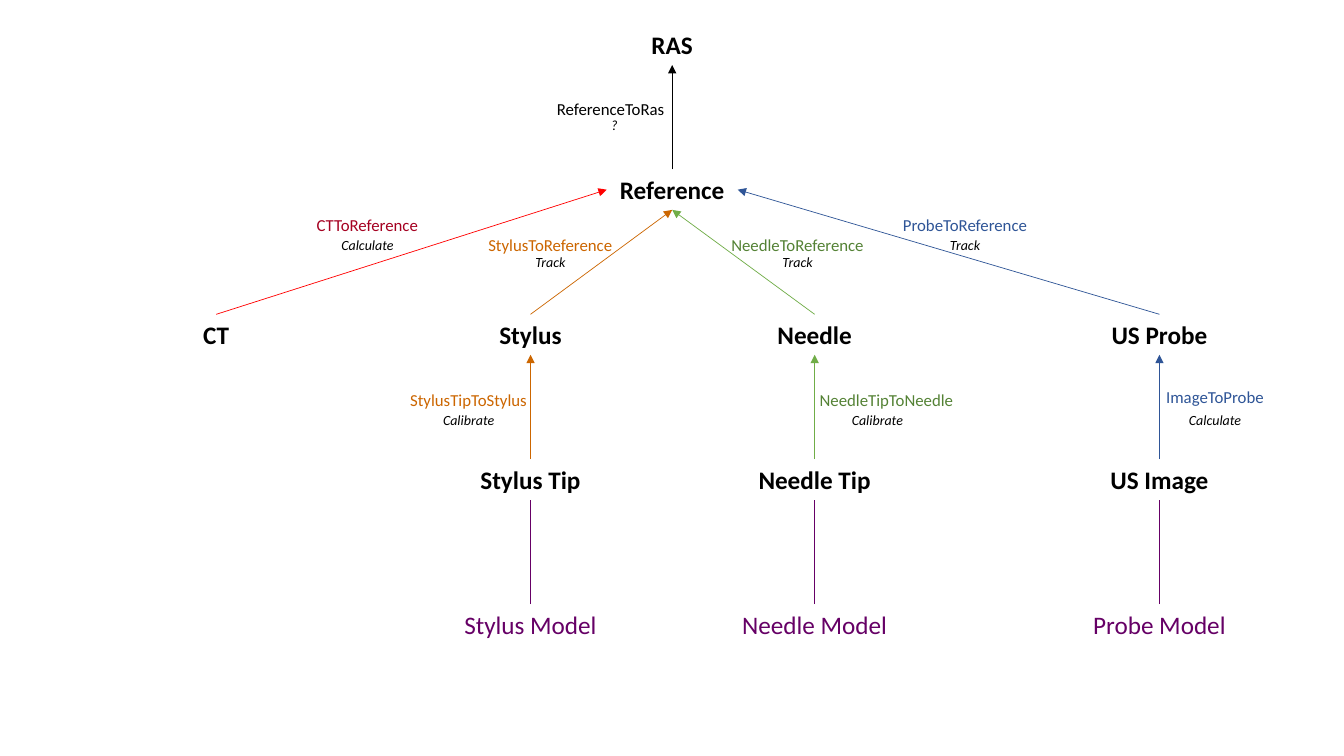
from lxml import etree
from pptx import Presentation
from pptx import util as u
from pptx.dml import color
from pptx.enum import shapes, text
from pptx.oxml import ns

BLACK, PURPLE = "000000", "660066"
RED, DARK_RED = "FF0000", "A50021"
ORANGE, BLUE = "CC6600", "2F5597"
GREEN, DARK_GREEN = "70AD47", "548235"

FIRST_ROW, ROW_STEP, NODE_HEIGHT = 0.62, 3.65, 1.02
CT_X, STYLUS_X, CENTRE_X, NEEDLE_X, PROBE_X = 5.45, 13.37, 16.94, 20.53, 29.22
REFERENCE_WIDTH = 3.3

NODES = [
    ("RAS", CENTRE_X, 0, 3.12),
    ("Reference", CENTRE_X, 1, REFERENCE_WIDTH),
    ("CT", CT_X, 2, 1.55),
    ("Stylus", STYLUS_X, 2, 3.12),
    ("Needle", NEEDLE_X, 2, 3.12),
    ("US Probe", PROBE_X, 2, 3.12),
    ("Stylus Tip", STYLUS_X, 3, 3.12),
    ("Needle Tip", NEEDLE_X, 3, 3.4),
    ("US Image", PROBE_X, 3, 3.4),
]
MODELS = [
    ("Stylus Model", STYLUS_X, 4.24),
    ("Needle Model", NEEDLE_X, 4.24),
    ("Probe Model", PROBE_X, 4),
]
TRANSFORMS = [
    ("ReferenceToRas", BLACK, 15.39, 2.36, 3.3, "?", 15.48, 2.82, 1.9),
    ("CTToReference", DARK_RED, 9.26, 5.28, 3.18, "Calculate", 9.26, 5.84, 1.9),
    ("StylusToReference", ORANGE, 13.87, 5.79, 3.8, "Track", 13.87, 6.27, 1.32),
    ("NeedleToReference", DARK_GREEN, 20.1, 5.79, 4, "Track", 20.1, 6.27, 1.32),
    ("ProbeToReference", BLUE, 24.32, 5.28, 4, "Track", 24.32, 5.84, 1.32),
    ("StylusTipToStylus", ORANGE, 11.81, 9.7, 3.8, "Calibrate", 11.81, 10.24, 1.9),
    ("NeedleTipToNeedle", DARK_GREEN, 22.34, 9.7, 4, "Calibrate", 22.11, 10.24, 1.9),
    ("ImageToProbe", BLUE, 30.62, 9.63, 3.12, "Calculate", 30.62, 10.24, 1.9),
]


def rgb(code):
    return color.RGBColor.from_string(code)


def row_top(row):
    return FIRST_ROW + row * ROW_STEP


def row_bottom(row):
    return row_top(row) + NODE_HEIGHT


def add_label(page, words, centre, top, width, height, size, ink,
              bold=False, italic=False):
    box = page.shapes.add_textbox(
        u.Cm(centre - width / 2), u.Cm(top), u.Cm(width), u.Cm(height))
    frame = box.text_frame
    frame.word_wrap = True
    frame.auto_size = text.MSO_AUTO_SIZE.SHAPE_TO_FIT_TEXT
    frame.text = words
    para = frame.paragraphs[0]
    para.alignment = text.PP_ALIGN.CENTER
    font = para.runs[0].font
    font.name, font.size = "Calibri", u.Pt(size)
    font.bold, font.italic = bold, italic
    font.color.rgb = rgb(ink)


def add_line(page, start, end, ink, arrow=True):
    line = page.shapes.add_connector(
        shapes.MSO_CONNECTOR.STRAIGHT, *(u.Cm(n) for n in (*start, *end)))
    line.line.color.rgb = rgb(ink)
    line.line.width = u.Pt(0.5)
    if arrow:
        etree.SubElement(line.line._get_or_add_ln(), ns.qn("a:tailEnd"),
                         type="triangle")
    etree.SubElement(line._element.spPr, ns.qn("a:effectLst"))


def add_riser(page, centre, row, ink, arrow=True):
    add_line(page, (centre, row_top(row)), (centre, row_bottom(row - 1)),
             ink, arrow)


def add_transform(page, name, ink, centre, top, width,
                  method, method_centre, method_top, method_width):
    add_label(page, name, centre, top, width, 0.77, 12, ink)
    add_label(page, method, method_centre, method_top, method_width, 0.68, 10,
              BLACK, italic=True)


def main():
    deck = Presentation()
    deck.slide_width, deck.slide_height = u.Cm(33.87), u.Cm(19.05)
    page = deck.slides.add_slide(deck.slide_layouts[6])

    for name, centre, row, width in NODES:
        add_label(page, name, centre, row_top(row), width, NODE_HEIGHT, 18,
                  BLACK, bold=True)
    for name, centre, width in MODELS:
        add_label(page, name, centre, row_top(4), width, NODE_HEIGHT, 18, PURPLE)
        add_riser(page, centre, 4, PURPLE, arrow=False)

    add_riser(page, CENTRE_X, 1, BLACK)
    for centre, ink in ((STYLUS_X, ORANGE), (NEEDLE_X, GREEN), (PROBE_X, BLUE)):
        add_riser(page, centre, 3, ink)

    side = REFERENCE_WIDTH / 2
    middle = row_top(1) + NODE_HEIGHT / 2
    for centre, target, ink in (
            (CT_X, (CENTRE_X - side, middle), RED),
            (STYLUS_X, (CENTRE_X, row_bottom(1)), ORANGE),
            (NEEDLE_X, (CENTRE_X, row_bottom(1)), GREEN),
            (PROBE_X, (CENTRE_X + side, middle), BLUE)):
        add_line(page, (centre, row_top(2)), target, ink)

    for transform in TRANSFORMS:
        add_transform(page, *transform)
    deck.save("out.pptx")


main()
